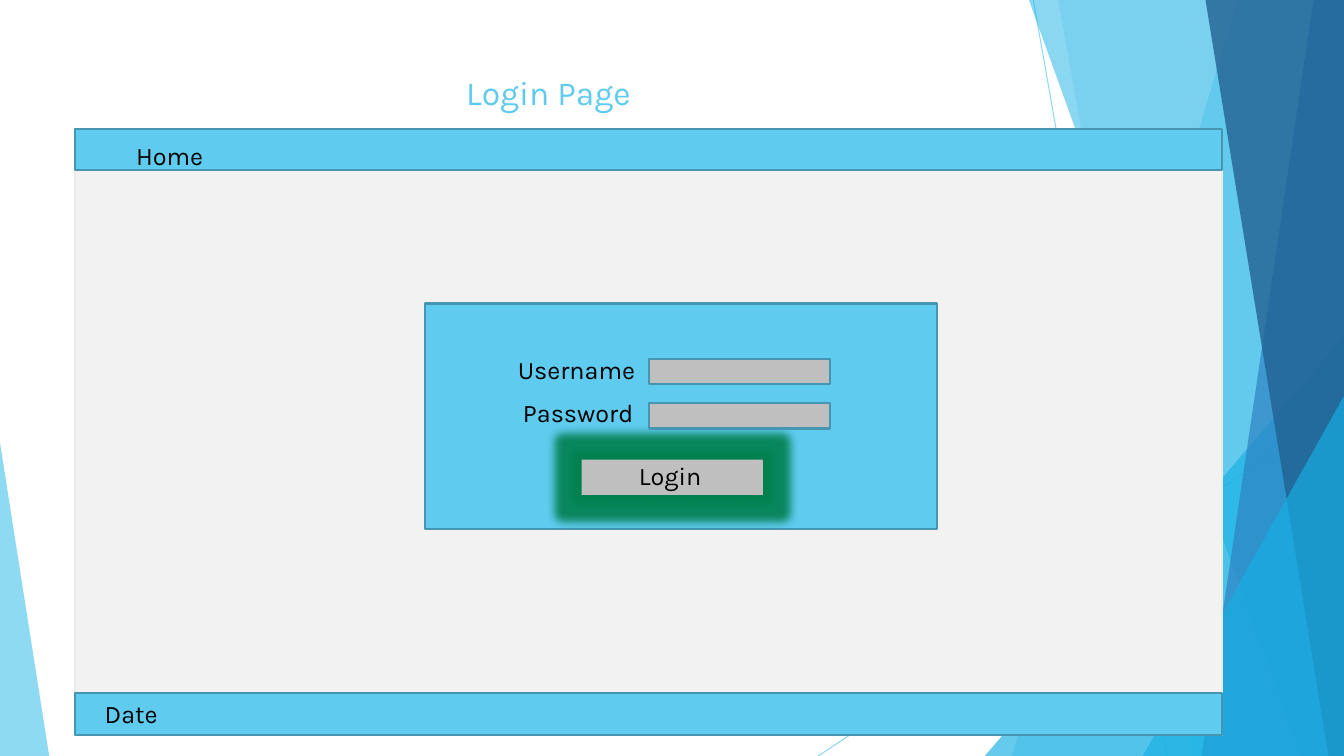
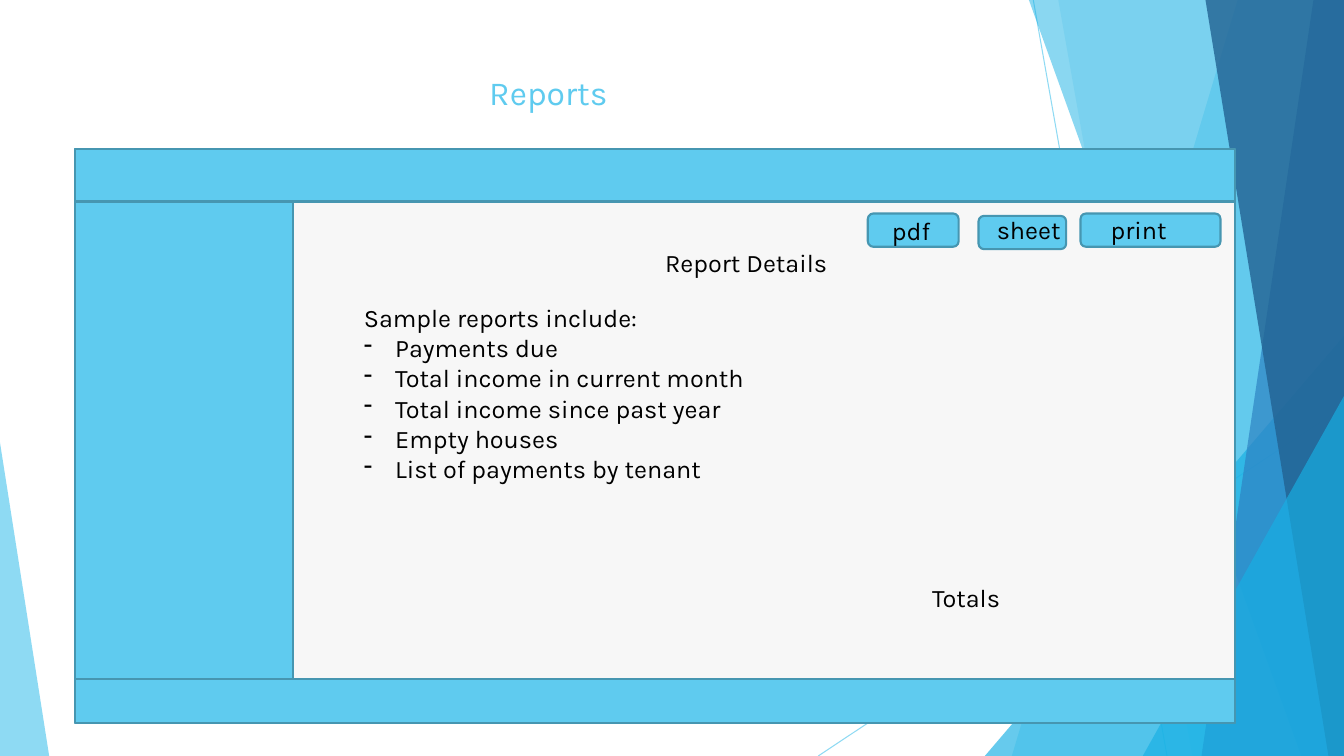
from dataclasses import dataclass

from lxml.etree import SubElement
from pptx import Presentation
from pptx.dml.color import RGBColor
from pptx.enum.shapes import MSO_CONNECTOR, MSO_SHAPE
from pptx.enum.text import MSO_ANCHOR, MSO_AUTO_SIZE, PP_ALIGN
from pptx.oxml.ns import qn
from pptx.util import Cm, Pt


@dataclass(frozen=True)
class Theme:
    """Colours, font, type sizes and shared measures (in cm)."""
    sky: str = "5FCBEF"
    aqua: str = "17B0E4"
    blue: str = "2E83C3"
    navy: str = "226292"
    edge: str = "4696B1"
    field: str = "BFBFBF"
    glow: str = "00804E"
    text: str = "000000"
    font: str = "Karla"
    title_size: int = 24
    body_size: int = 18
    outline: float = 1.5
    hairline: float = 0.75
    width: float = 33.87
    height: float = 19.05
    margin: float = 1.88
    text_height: float = 1.02


THEME = Theme()
BLANK_LAYOUT = 6


def set_alpha(shape, percent):
    """Make every colour of a shape partly transparent."""
    for color in shape.element.spPr.iter(qn("a:srgbClr")):
        SubElement(color, qn("a:alpha"), val=str(percent * 1000))


def paint(shape, fill, outline=None):
    """Give a shape a flat fill and an optional outline."""
    shape.shadow.inherit = False
    shape.fill.solid()
    shape.fill.fore_color.rgb = RGBColor.from_string(fill)
    if outline:
        shape.line.color.rgb = RGBColor.from_string(outline)
        shape.line.width = Pt(THEME.outline)
    else:
        shape.line.fill.background()


def add_box(slide, left, top, width, height, fill=THEME.sky,
            outline=THEME.edge, preset=MSO_SHAPE.RECTANGLE):
    """Add a preset shape, sky blue with a darker edge by default."""
    box = slide.shapes.add_shape(preset, Cm(left), Cm(top), Cm(width), Cm(height))
    paint(box, fill, outline)
    return box


def add_glow(shape, color, radius, percent):
    """Put a coloured halo around a shape."""
    effects = shape.element.spPr.find(qn("a:effectLst"))
    glow = SubElement(effects, qn("a:glow"), rad=str(Pt(radius)))
    tint = SubElement(glow, qn("a:srgbClr"), val=color)
    SubElement(tint, qn("a:alpha"), val=str(percent * 1000))


def style_paragraph(paragraph, size, color):
    """Apply the theme font to all runs of a paragraph."""
    for run in paragraph.runs:
        run.font.name = THEME.font
        run.font.size = Pt(size)
        run.font.color.rgb = RGBColor.from_string(color)


def add_text(slide, text, left, top, width, height=THEME.text_height):
    """Add body text that grows with its content."""
    label = slide.shapes.add_textbox(Cm(left), Cm(top), Cm(width), Cm(height))
    frame = label.text_frame
    frame.word_wrap = True
    frame.auto_size = MSO_AUTO_SIZE.SHAPE_TO_FIT_TEXT
    frame.text = text
    for paragraph in frame.paragraphs:
        style_paragraph(paragraph, THEME.body_size, THEME.text)
    return label


def add_title(slide, text, height):
    """Add the centred page title."""
    title = slide.shapes.add_textbox(Cm(THEME.margin), Cm(1.7), Cm(23.88), Cm(height))
    frame = title.text_frame
    frame.word_wrap = True
    frame.vertical_anchor = MSO_ANCHOR.TOP
    frame.text = text
    heading = frame.paragraphs[0]
    heading.alignment = PP_ALIGN.CENTER
    style_paragraph(heading, THEME.title_size, THEME.sky)


def add_dash(paragraph, indent):
    """Turn a paragraph into a dashed list item with a hanging indent."""
    properties = paragraph._p.get_or_add_pPr()
    properties.set("marL", str(Cm(indent)))
    properties.set("indent", str(-Cm(indent)))
    SubElement(properties, qn("a:buChar"), char="-")


def add_ray(slide, start, end):
    """Add a thin translucent line of the backdrop."""
    ray = slide.shapes.add_connector(
        MSO_CONNECTOR.STRAIGHT, *(Cm(value) for value in start + end))
    ray.line.color.rgb = RGBColor.from_string(THEME.sky)
    ray.line.width = Pt(THEME.hairline)
    set_alpha(ray, 70)
    SubElement(ray.element.spPr, qn("a:effectLst"))


def add_facet(slide, top_x, bottom_x, color, alpha):
    """Add a full-height facet from a slanted edge to the right border."""
    right, bottom = Cm(THEME.width), Cm(THEME.height)
    outline = slide.shapes.build_freeform(Cm(top_x), 0)
    outline.add_line_segments([(right, 0), (right, bottom), (Cm(bottom_x), bottom)])
    facet = outline.convert_to_shape()
    paint(facet, color)
    set_alpha(facet, alpha)


def add_wedge(slide, left, top, width, color, alpha, apex):
    """Add a right triangle that stands on the bottom border."""
    wedge = add_box(slide, left, top, width, THEME.height - top, color, None,
                    MSO_SHAPE.ISOSCELES_TRIANGLE)
    wedge.adjustments[0] = apex
    set_alpha(wedge, alpha)


def add_backdrop(slide):
    """Draw the faceted backdrop that all pages share."""
    add_ray(slide, (26.04, 0), (29.41, THEME.height))
    add_ray(slide, (THEME.width, 10.24), (20.62, THEME.height))
    add_facet(slide, 31.19, 25.5, THEME.sky, 36)
    add_facet(slide, 26.67, 30.05, THEME.sky, 20)
    add_wedge(slide, 24.82, 8.46, 9.05, THEME.aqua, 66, 1)
    add_facet(slide, 25.93, 32.79, THEME.aqua, 50)
    add_facet(slide, 33.1, 30.28, THEME.blue, 70)
    add_facet(slide, 30.38, 33.48, THEME.navy, 80)
    add_wedge(slide, 28.8, 9.98, 5.07, THEME.aqua, 66, 1)
    add_wedge(slide, 0, 11.15, 1.24, THEME.sky, 70, 0)


def add_page(deck, title, title_height):
    """Start a page with backdrop and title."""
    slide = deck.slides.add_slide(deck.slide_layouts[BLANK_LAYOUT])
    add_backdrop(slide)
    add_title(slide, title, title_height)
    return slide


def add_window(slide, top, width, height, header, footer, fill, outline):
    """Draw a mock window with its header and footer bands."""
    add_box(slide, THEME.margin, top, width, height, fill, outline)
    add_box(slide, THEME.margin, top, width, header)
    add_box(slide, THEME.margin, top + height - footer, width, footer)


def build_login(deck):
    """Build the login page mock-up."""
    slide = add_page(deck, "Login Page", 1.57)
    add_window(slide, 3.25, 28.91, 15.28, 1.04, 1.06, "F2F2F2", "EBEBEB")
    add_text(slide, "Date", 2.39, 17.48, 4.47)
    add_text(slide, "Home", 3.18, 3.4, 2.92)
    add_box(slide, 10.72, 7.65, 12.9, 5.69)
    login_button = add_box(slide, 14.66, 11.58, 4.57, 0.89, THEME.field, None)
    add_glow(login_button, THEME.glow, 13, 90)
    for name, left, top, field_top in (("Username", 12.8, 8.81, 9.04),
                                       ("Password", 12.93, 9.88, 10.16)):
        add_box(slide, 16.36, field_top, 4.57, 0.64, THEME.field)
        add_text(slide, name, left, top, 3.48)
    add_text(slide, "Login", 15.85, 11.48, 3.66)


def build_reports(deck):
    """Build the reports page mock-up."""
    slide = add_page(deck, "Reports", 3.66)
    add_window(slide, 3.76, 29.24, 14.45, 1.32, 1.09, "F7F7F7", THEME.edge)
    add_box(slide, THEME.margin, 5.08, 5.51, 12.04)
    add_text(slide, "Totals", 23.24, 14.55, 3.35)
    add_text(slide, "Report Details", 16.51, 6.12, 4.85)
    exports = (
        ("pdf", (21.87, 5.38, 2.29), (22.23, 5.31, 2.29)),
        ("sheet", (24.66, 5.44, 2.21), (24.87, 5.28, 2.57)),
        ("print", (27.23, 5.38, 3.53), (27.74, 5.28, 3.2)),
    )
    for name, button, label in exports:
        add_box(slide, *button, 0.84, preset=MSO_SHAPE.ROUNDED_RECTANGLE)
        add_text(slide, name, *label)
    samples = ("Sample reports include:", "Payments due",
               "Total income in current month", "Total income since past year",
               "Empty houses", "List of payments by tenant")
    sample_list = add_text(slide, "\n".join(samples), 8.92, 7.49, 21.41, 4.88)
    for item in sample_list.text_frame.paragraphs[1:]:
        add_dash(item, 0.79)


def main():
    """Build and save the deck."""
    deck = Presentation()
    deck.slide_width, deck.slide_height = Cm(THEME.width), Cm(THEME.height)
    build_login(deck)
    build_reports(deck)
    deck.save("out.pptx")


main()
